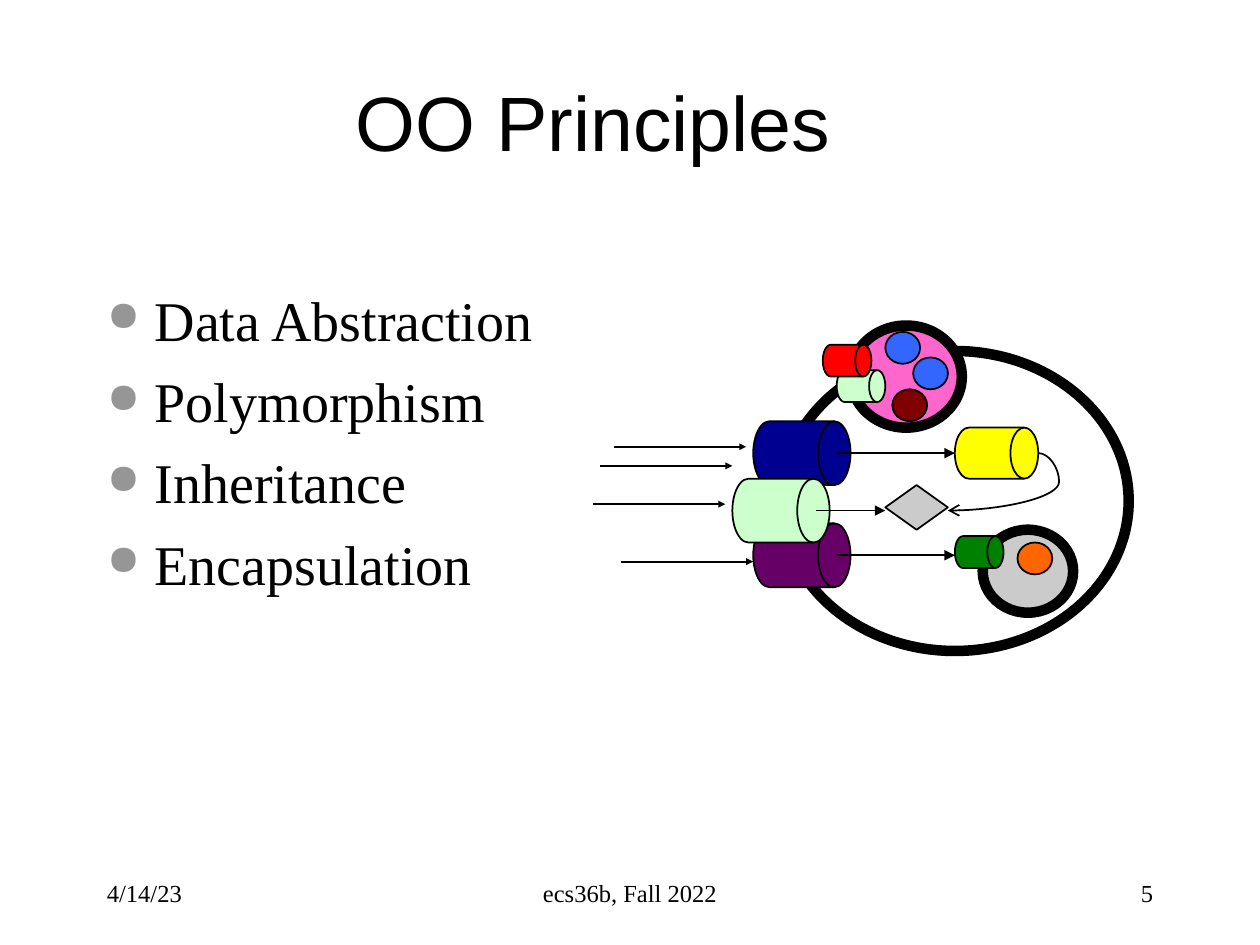
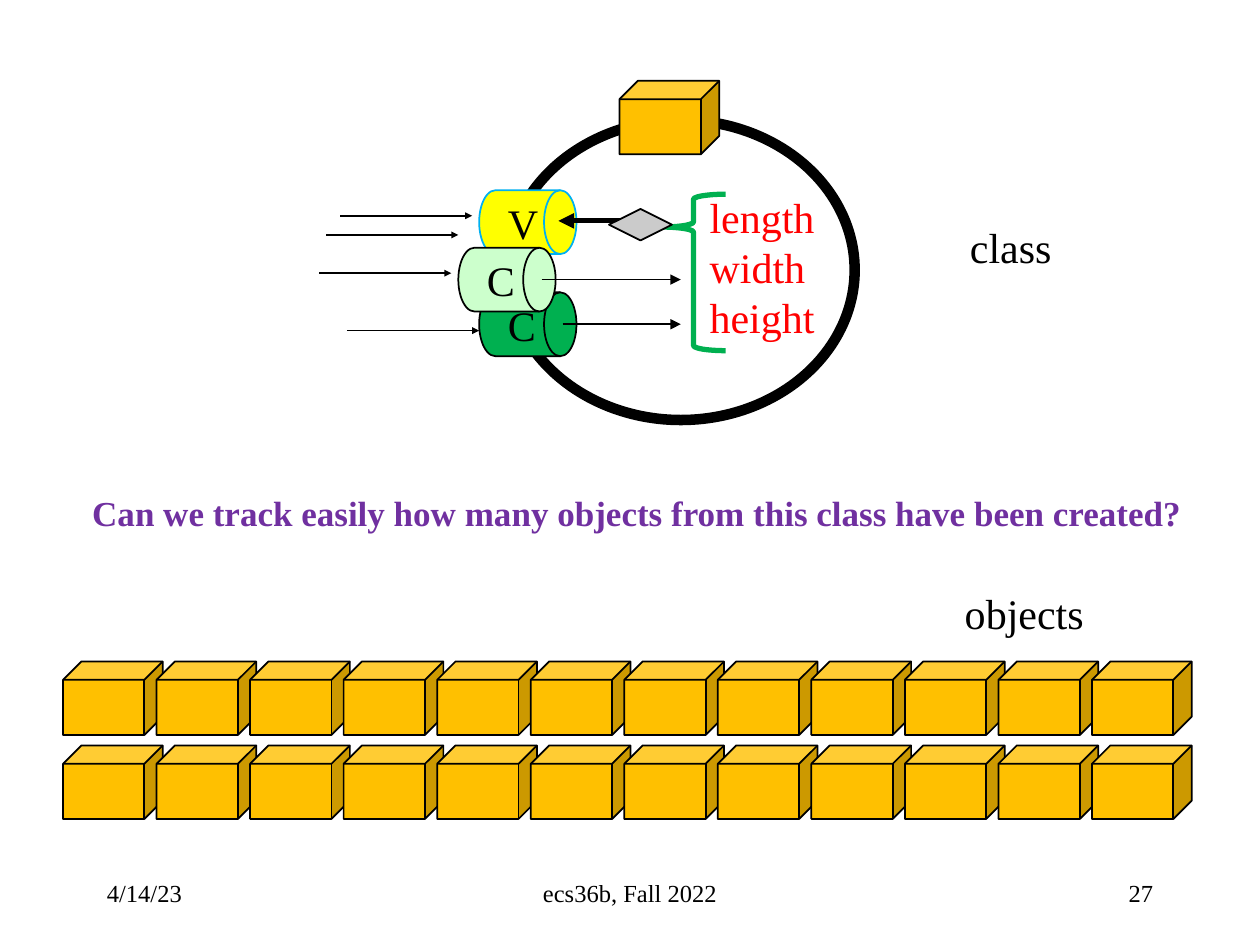
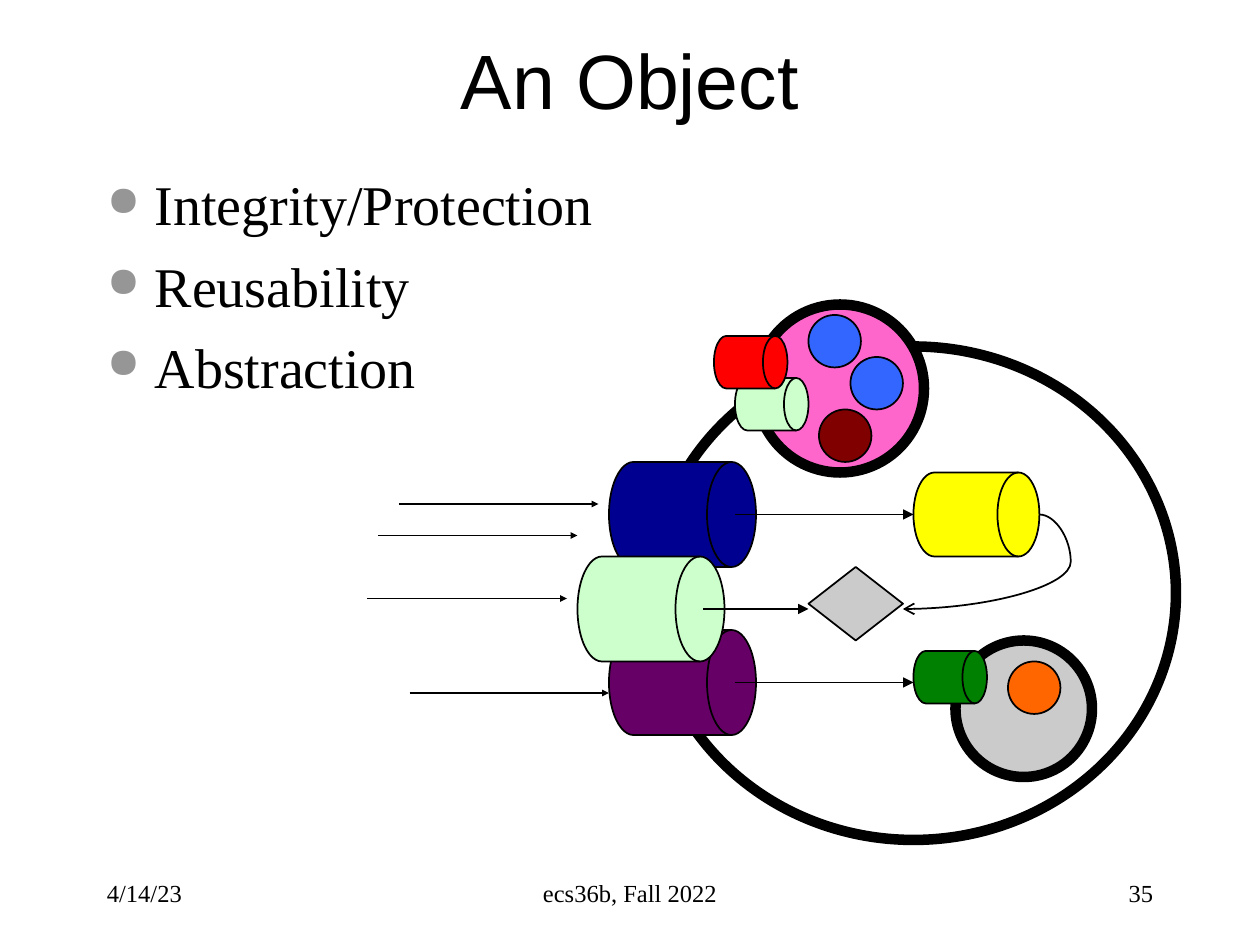
from dataclasses import dataclass

from lxml import etree
from pptx import Presentation
from pptx import util as u
from pptx.dml.color import RGBColor
from pptx.enum import shapes, text
from pptx.oxml import ns

KIND = shapes.MSO_SHAPE
DRUM = KIND.FLOWCHART_DIRECT_ACCESS_STORAGE
ALIGN = text.PP_ALIGN
MIDDLE = text.MSO_ANCHOR.MIDDLE


@dataclass(frozen=True)
class Theme:
    title_font: str = "Arial"
    body_font: str = "Times New Roman"
    title_size: int = 44
    body_size: int = 32
    label_size: int = 24
    question_size: int = 20
    footer_size: int = 14
    thin: int = 1
    medium: int = 3
    thick: int = 6
    black: str = "000000"
    bullet: str = "969696"
    navy: str = "000090"
    purple: str = "660066"
    mint: str = "CCFFCC"
    pink: str = "FF66CC"
    gray: str = "CBCBCB"
    red: str = "FF0000"
    green: str = "008000"
    orange: str = "FF6600"
    blue: str = "3366FF"
    maroon: str = "800000"
    yellow: str = "FFFF00"
    sky: str = "00B0F0"
    leaf: str = "00B050"
    gold: str = "FFC000"
    violet: str = "7030A0"


T = Theme()


@dataclass(frozen=True)
class Grid:
    """A box in inches, divided into columns and rows."""
    left: float
    top: float
    width: float
    height: float
    cols: float
    rows: float

    def point(self, col, row):
        return (u.Inches(self.left + col * self.width / self.cols),
                u.Inches(self.top + row * self.height / self.rows))

    def box(self, col, row, cols, rows):
        x, y = self.point(col, row)
        right, bottom = self.point(col + cols, row + rows)
        return x, y, right - x, bottom - y

    def sub(self, col, row, cols, rows, new_cols, new_rows):
        inches = [u.Emu(v).inches for v in self.box(col, row, cols, rows)]
        return Grid(*inches, new_cols, new_rows)


PAGE = Grid(0, 0, 10, 7.5, 120, 90)
DIAGRAM = (77, 51)  # columns and rows of the object diagram


def rgb(value):
    return RGBColor.from_string(value)


def style(p, size, color=T.black, font=T.body_font, bold=False, align=ALIGN.LEFT):
    p.alignment = align
    p.font.name, p.font.size, p.font.bold = font, u.Pt(size), bold
    p.font.color.rgb = rgb(color)


def add_text(s, grid, cells, lines, size, anchor=None, wrap=False, **look):
    tf = s.shapes.add_textbox(*grid.box(*cells)).text_frame
    tf.word_wrap = wrap
    if anchor is not None:
        tf.vertical_anchor = anchor
    tf.text = "\n".join(lines)
    for p in tf.paragraphs:
        style(p, size, **look)
    return tf


def add_part(s, grid, kind, cells, fill=None, line=T.black, width=T.thin, label=None):
    sp = s.shapes.add_shape(kind, *grid.box(*cells))
    sp.shadow.inherit = False
    if fill:
        sp.fill.solid()
        sp.fill.fore_color.rgb = rgb(fill)
    else:
        sp.fill.background()
    sp.line.color.rgb = rgb(line)
    sp.line.width = u.Pt(width)
    if label:
        tf = sp.text_frame
        tf.word_wrap = False
        tf.vertical_anchor = MIDDLE
        tf.text = label
        style(tf.paragraphs[0], T.label_size)
    return sp


def add_arrow(s, grid, start, end, width=T.thin, head="triangle", size="med", bend=None):
    kind = shapes.MSO_CONNECTOR.STRAIGHT if bend is None else shapes.MSO_CONNECTOR.CURVE
    c = s.shapes.add_connector(kind, *grid.point(*start), *grid.point(*end))
    c.line.color.rgb = rgb(T.black)
    c.line.width = u.Pt(width)
    etree.SubElement(c.line._get_or_add_ln(), ns.qn("a:tailEnd"),
                     type=head, w=size, len=size)
    props = c._element.spPr
    etree.SubElement(props, ns.qn("a:effectLst"))
    if bend is not None:
        guides = props.find(ns.qn("a:prstGeom")).find(ns.qn("a:avLst"))
        etree.SubElement(guides, ns.qn("a:gd"), name="adj1",
                         fmla=f"val {round(bend * 100000)}")


def add_title(s, cells, title):
    add_text(s, PAGE, cells, [title], T.title_size, anchor=MIDDLE, wrap=True,
             font=T.title_font, align=ALIGN.CENTER)


def add_bullets(s, cells, items):
    tf = add_text(s, PAGE, cells, items, T.body_size, wrap=True)
    for i, p in enumerate(tf.paragraphs):
        props = p._p.get_or_add_pPr()
        indent = u.Inches(0.38)
        props.set("marL", str(indent))
        props.set("indent", str(-indent))
        color = etree.SubElement(props, ns.qn("a:buClr"))
        etree.SubElement(color, ns.qn("a:srgbClr"), val=T.bullet)
        etree.SubElement(props, ns.qn("a:buSzPct"), val="75000")
        etree.SubElement(props, ns.qn("a:buChar"), char="●")
        # The run defaults must follow the bullet elements
        props.append(props.find(ns.qn("a:defRPr")))
        if i:
            p.space_before = u.Pt(8)


def add_footer(s, number):
    for col, cols, words, align in [
        (9, 25, "4/14/23", ALIGN.LEFT),
        (41, 38, "ecs36b, Fall 2022", ALIGN.CENTER),
        (86, 25, str(number), ALIGN.RIGHT),
    ]:
        add_text(s, PAGE, (col, 82, cols, 6), [words], T.footer_size,
                 anchor=MIDDLE, wrap=True, align=align)


def add_shell(s, grid, methods):
    """Object boundary, its three methods and the calls that reach them."""
    add_part(s, grid, KIND.OVAL, (27, 4, 50, 47), width=T.thick)
    for (col, row), look in zip([(23, 15), (23, 31), (20, 24)], methods):
        add_part(s, grid, DRUM, (col, row, 14, 10), **look)
    for col, row in [(3, 19), (1, 22), (0, 28), (4, 37)]:
        add_arrow(s, grid, (col, row), (col + 19, row), size="sm")


def add_object(s, grid):
    """Object with two nested objects and its inner data."""
    add_shell(s, grid, [dict(fill=T.navy), dict(fill=T.purple), dict(fill=T.mint)])
    for col, row, end in [(35, 20, 52), (32, 29, 42), (35, 36, 52)]:
        add_arrow(s, grid, (col, row), (end, row))
    # Nested objects
    add_part(s, grid, KIND.OVAL, (37, 0, 16, 16), T.pink, width=T.thick)
    add_part(s, grid, KIND.OVAL, (56, 32, 13, 13), T.gray, width=T.thick)
    for col, row, fill in [(35, 7, T.mint), (33, 3, T.red), (52, 33, T.green)]:
        add_part(s, grid, DRUM, (col, row, 7, 5), fill)
    for col, row, fill in [(61, 34, T.orange), (42, 1, T.blue),
                           (46, 5, T.blue), (43, 10, T.maroon)]:
        add_part(s, grid, KIND.OVAL, (col, row, 5, 5), fill)
    # Inner data and private method
    add_part(s, grid, KIND.DIAMOND, (42, 25, 9, 7), T.gray)
    add_part(s, grid, DRUM, (52, 16, 12, 8), T.yellow)
    add_arrow(s, grid, (64, 20), (51, 29), head="arrow", bend=-0.23)


def add_cube(s, grid, col, row):
    add_part(s, grid, KIND.CUBE, (col, row, 9.5, 7), T.gold)


def add_class(s, cells):
    """Class diagram with its attributes."""
    grid = PAGE.sub(*cells, *DIAGRAM)
    add_shell(s, grid, [
        dict(fill=T.yellow, line=T.sky, label="V"),
        dict(fill=T.leaf, label="C"),
        dict(fill=T.mint, label="C"),
    ])
    add_arrow(s, grid, (47.5, 19.8), (34.4, 19.8), width=T.medium)
    for col, row in [(32, 29), (35, 36)]:
        add_arrow(s, grid, (col, row), (52, row))
    # Attributes, in page units from the corner of the diagram
    inner = PAGE.sub(*cells, *cells[2:])
    add_text(s, inner, (36, 8.6, 12.5, 15.7), ["length", "width", "height"],
             T.label_size, color=T.red)
    add_cube(s, inner, 28.6, -1.3)
    brace = add_part(s, inner, KIND.LEFT_BRACE, (32.6, 9.5, 6.1, 14.9),
                     line=T.leaf, width=T.medium)
    brace.adjustments[0], brace.adjustments[1] = 0.08, 0.21
    add_part(s, inner, KIND.DIAMOND, (27.6, 10.9, 6, 3), T.gray)


def add_cube_rows(s, cells, cols=12, rows=2):
    grid = PAGE.sub(*cells, *cells[2:])
    step_x = (grid.cols - 9.5) / (cols - 1)
    step_y = (grid.rows - 7) / (rows - 1)
    for row in range(rows):
        for col in range(cols):
            add_cube(s, grid, col * step_x, row * step_y)


def object_slide(s, number, title, title_cells, items, body_cells, diagram_cells):
    add_title(s, title_cells, title)
    add_bullets(s, body_cells, items)
    add_object(s, PAGE.sub(*diagram_cells, *DIAGRAM))
    add_footer(s, number)


def class_slide(s, number):
    add_class(s, (30.4, 9, 51, 31))
    add_text(s, PAGE, (91.2, 20.5, 10.3, 6.1), ["class"], T.label_size)
    add_cube_rows(s, (6, 63, 107.5, 15))
    add_text(s, PAGE, (90.7, 55.4, 13.8, 6.1), ["objects"], T.label_size)
    add_text(s, PAGE, (7.6, 46.2, 107, 5.3),
             ["Can we track easily how many objects from this class have been created?"],
             T.question_size, color=T.violet, bold=True)
    add_footer(s, number)


def main():
    prs = Presentation()
    prs.slide_width, prs.slide_height = u.Inches(PAGE.width), u.Inches(PAGE.height)
    first, second, third = (prs.slides.add_slide(prs.slide_layouts[6]) for _ in range(3))
    object_slide(first, 5, "OO Principles", (15, 4, 83, 15),
                 ["Data Abstraction", "Polymorphism", "Inheritance", "Encapsulation"],
                 (9, 26.6, 102, 54), (56.5, 31, 51, 31))
    class_slide(second, 27)
    object_slide(third, 35, "An Object", (9, 0, 102, 15),
                 ["Integrity/Protection", "Reusability", "Abstraction"],
                 (9, 15.6, 102, 54), (35, 29, 77, 51))
    prs.save("out.pptx")


if __name__ == "__main__":
    main()
